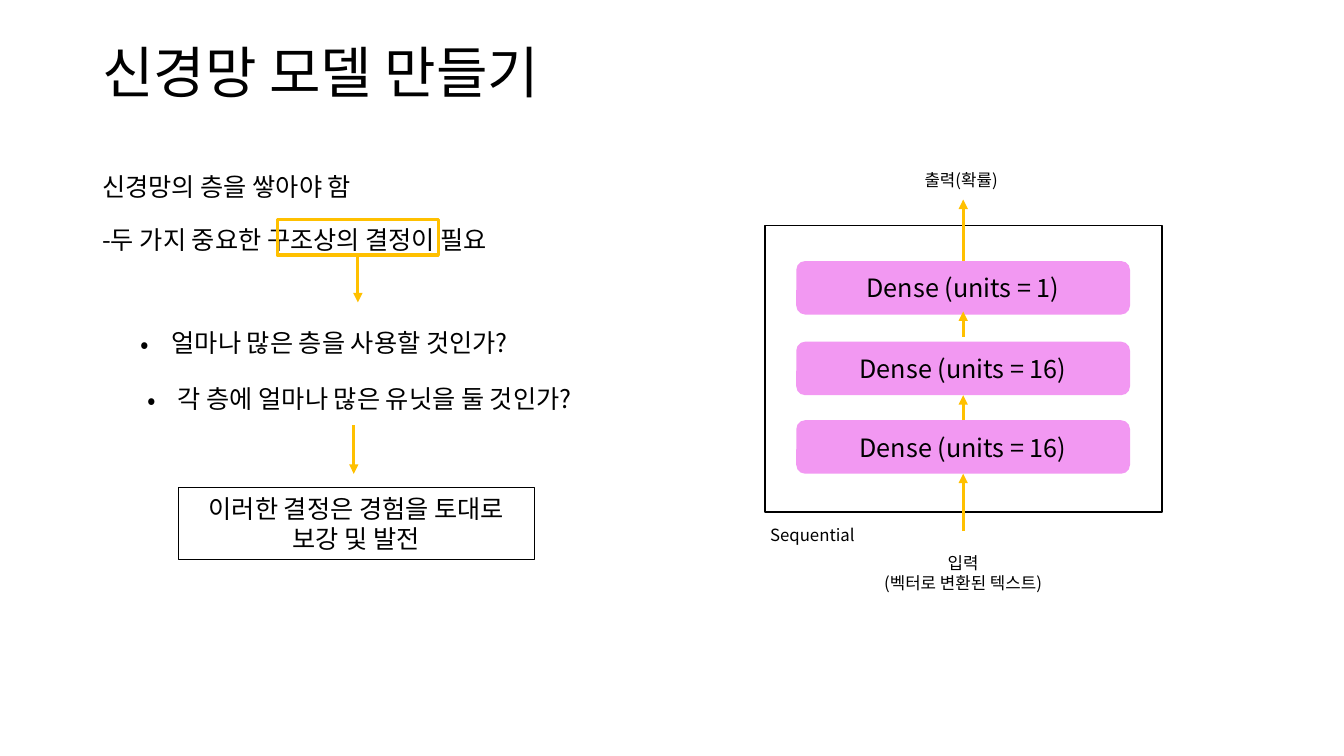
from lxml.etree import SubElement
from pptx import Presentation
from pptx.dml.color import RGBColor
from pptx.enum.shapes import MSO_CONNECTOR, MSO_SHAPE
from pptx.enum.text import MSO_ANCHOR, PP_ALIGN
from pptx.oxml.ns import qn
from pptx.util import Pt

FONT = "Noto Sans CJK KR"
COLORS = {"text": "000000", "layer": "F298F2", "accent": "FFC000"}
BOTTOM, TOP = 2, 0
BULLET_INDENT = 22
LAYER_LEFT, LAYER_WIDTH, LAYER_HEIGHT = 568.8, 238.4, 38.2
LAYER_CENTER = LAYER_LEFT + LAYER_WIDTH / 2


def color(name):
    return RGBColor.from_string(COLORS[name])


def write(frame, lines, size, align):
    frame.word_wrap = True
    frame.text = "\n".join(lines)
    for para in frame.paragraphs:
        para.alignment = align
        for span in para.runs:
            span.font.size = Pt(size)
            span.font.name = FONT
            span.font.color.rgb = color("text")
            SubElement(span.font._element, qn("a:ea"), typeface=FONT)


def add_text(slide, bounds, *lines, size=18, align=PP_ALIGN.LEFT):
    box = slide.shapes.add_textbox(*map(Pt, bounds))
    write(box.text_frame, lines, size, align)
    return box


def add_bullet(slide, bounds, text):
    box = add_text(slide, bounds, text)
    properties = box.text_frame.paragraphs[0]._p.get_or_add_pPr()
    properties.set("marL", str(Pt(BULLET_INDENT)))
    properties.set("indent", str(-Pt(BULLET_INDENT)))
    SubElement(properties, qn("a:buFont"), typeface=FONT)
    SubElement(properties, qn("a:buChar"), char="•")


def add_box(slide, bounds, text="", kind=MSO_SHAPE.RECTANGLE, fill=None, line=None, weight=1):
    box = slide.shapes.add_shape(kind, *map(Pt, bounds))
    box.shadow.inherit = False
    if fill:
        box.fill.solid()
        box.fill.fore_color.rgb = color(fill)
    else:
        box.fill.background()
    if line:
        box.line.color.rgb = color(line)
        box.line.width = Pt(weight)
    else:
        box.line.fill.background()
    if text:
        box.text_frame.vertical_anchor = MSO_ANCHOR.MIDDLE
        write(box.text_frame, [text], 18, PP_ALIGN.CENTER)
    return box


def add_arrow(slide, x, start, end, source=None, target=None):
    arrow = slide.shapes.add_connector(
        MSO_CONNECTOR.STRAIGHT, Pt(x), Pt(start), Pt(x), Pt(end))
    arrow.line.color.rgb = color("accent")
    arrow.line.width = Pt(2.25)
    SubElement(arrow.line._get_or_add_ln(), qn("a:tailEnd"), type="triangle")
    SubElement(arrow._element.spPr, qn("a:effectLst"))
    if source:
        arrow.begin_connect(*source)
    if target:
        arrow.end_connect(*target)


def add_decisions(slide):
    add_text(slide, (66, 119, 472, 29), "신경망의 층을 쌓아야 함")
    add_text(slide, (66, 157, 828, 29), "-두 가지 중요한 구조상의 결정이 필요")
    highlight = add_box(slide, (198, 157, 115.2, 25.2), line="accent", weight=2.25)
    add_arrow(slide, 255.6, 182.2, 216, source=(highlight, BOTTOM))
    add_bullet(slide, (93.6, 230.4, 292, 51), "얼마나 많은 층을 사용할 것인가?")
    add_bullet(slide, (98, 270, 337, 51), "각 층에 얼마나 많은 유닛을 둘 것인가?")
    add_arrow(slide, 252.7, 303.8, 338.4)
    add_box(slide, (127.4, 348.5, 254.2, 51), "이러한 결정은 경험을 토대로 보강 및 발전",
            line="text", weight=0.75)


def add_network(slide):
    add_box(slide, (546.5, 161.3, 283.7, 204.5), line="text")
    output, hidden, first = [
        add_box(slide, (LAYER_LEFT, top, LAYER_WIDTH, LAYER_HEIGHT),
                f"Dense (units = {units})", MSO_SHAPE.ROUNDED_RECTANGLE, "layer")
        for top, units in ((186.5, 1), (244.1, 16), (300.2, 16))]
    add_arrow(slide, LAYER_CENTER, 379.4, 338.4, target=(first, BOTTOM))
    add_arrow(slide, LAYER_CENTER, 300.2, 282.3, (first, TOP), (hidden, BOTTOM))
    add_arrow(slide, LAYER_CENTER, 240.5, 222.5)
    add_arrow(slide, LAYER_CENTER, 186.5, 142.6, source=(output, TOP))
    add_text(slide, (543, 371.5, 129, 24), "Sequential", size=12)
    add_text(slide, (610, 391, 156, 40), "입력", "(벡터로 변환된 텍스트)",
             size=12, align=PP_ALIGN.CENTER)
    add_text(slide, (622, 117.4, 129, 24), "출력(확률)", size=12, align=PP_ALIGN.CENTER)


def main():
    deck = Presentation()
    deck.slide_width, deck.slide_height = Pt(960), Pt(540)
    slide = deck.slides.add_slide(deck.slide_layouts[6])
    title = add_text(slide, (66, 28.8, 828, 104.4), "신경망 모델 만들기", size=40)
    title.text_frame.paragraphs[0].line_spacing = 0.9
    add_decisions(slide)
    add_network(slide)
    deck.save("out.pptx")


if __name__ == "__main__":
    main()
